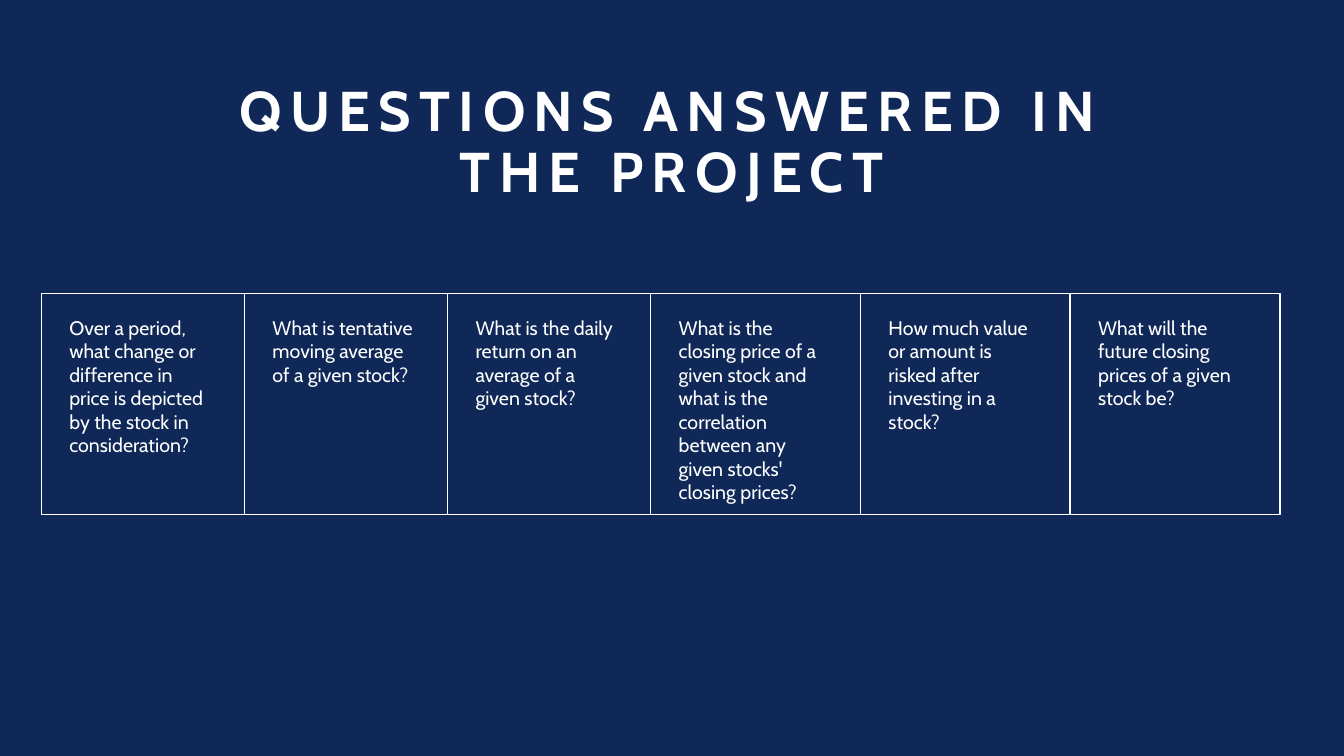
"""Build the slide listing the six questions answered in the project."""
import pptx
import pptx.dml.color
import pptx.enum.shapes
import pptx.enum.text
import pptx.util

Pt = pptx.util.Pt
NAVY = pptx.dml.color.RGBColor(0x10, 0x28, 0x57)
WHITE = pptx.dml.color.RGBColor(0xFF, 0xFF, 0xFF)
FONT = "Cabin"
TITLE = "QUESTIONS ANSWERED IN THE PROJECT"
NARROW, WIDE = 145.1, 149.8
QUESTIONS = [
    ("Over a period, what change or difference in price is depicted by the stock in consideration?", NARROW),
    ("What is tentative moving average of a given stock?", NARROW),
    ("What is the daily return on an average of a given stock?", NARROW),
    ("What is the closing price of a given stock and what is the correlation "
     "between any given stocks' closing prices?", WIDE),
    ("How much value or amount is risked after investing in a stock?", WIDE),
    ("What will the future closing prices of a given stock be?", WIDE),
]
ROW_LEFT, ROW_TOP, ROW_HEIGHT = 29.5, 209.5, 157.9


def style_text(para, size, align):
    para.alignment = align
    para.font.name = FONT
    para.font.size = Pt(size)
    para.font.color.rgb = WHITE


def add_title(page):
    title = page.shapes.title
    title.left, title.top, title.width, title.height = Pt(130.3), Pt(65.5), Pt(699.1), Pt(84.2)
    frame = title.text_frame
    frame.text = TITLE
    frame.word_wrap = True
    frame.auto_size = pptx.enum.text.MSO_AUTO_SIZE.NONE
    frame.vertical_anchor = pptx.enum.text.MSO_ANCHOR.BOTTOM
    para = frame.paragraphs[0]
    style_text(para, 40, pptx.enum.text.PP_ALIGN.CENTER)
    para.font.bold = True
    para.line_spacing = 0.9
    para.runs[0]._r.get_or_add_rPr().set("spc", "600")


def add_question(page, question, left, width):
    box = page.shapes.add_shape(
        pptx.enum.shapes.MSO_SHAPE.RECTANGLE, Pt(left), Pt(ROW_TOP), Pt(width), Pt(ROW_HEIGHT))
    box.shadow.inherit = False
    box.fill.background()
    box.line.color.rgb = WHITE
    box.line.width = Pt(1)
    frame = box.text_frame
    frame.text = question
    frame.word_wrap = True
    frame.vertical_anchor = pptx.enum.text.MSO_ANCHOR.TOP
    frame.margin_left, frame.margin_top = Pt(20), Pt(16)
    frame.margin_right, frame.margin_bottom = Pt(21.6), Pt(3.6)
    style_text(frame.paragraphs[0], 14, pptx.enum.text.PP_ALIGN.LEFT)


deck = pptx.Presentation()
deck.slide_width, deck.slide_height = Pt(960), Pt(540)
page = deck.slides.add_slide(deck.slide_layouts[5])
page.background.fill.solid()
page.background.fill.fore_color.rgb = NAVY
add_title(page)
left = ROW_LEFT
for question, width in QUESTIONS:
    add_question(page, question, left, width)
    left += width
deck.save("out.pptx")
